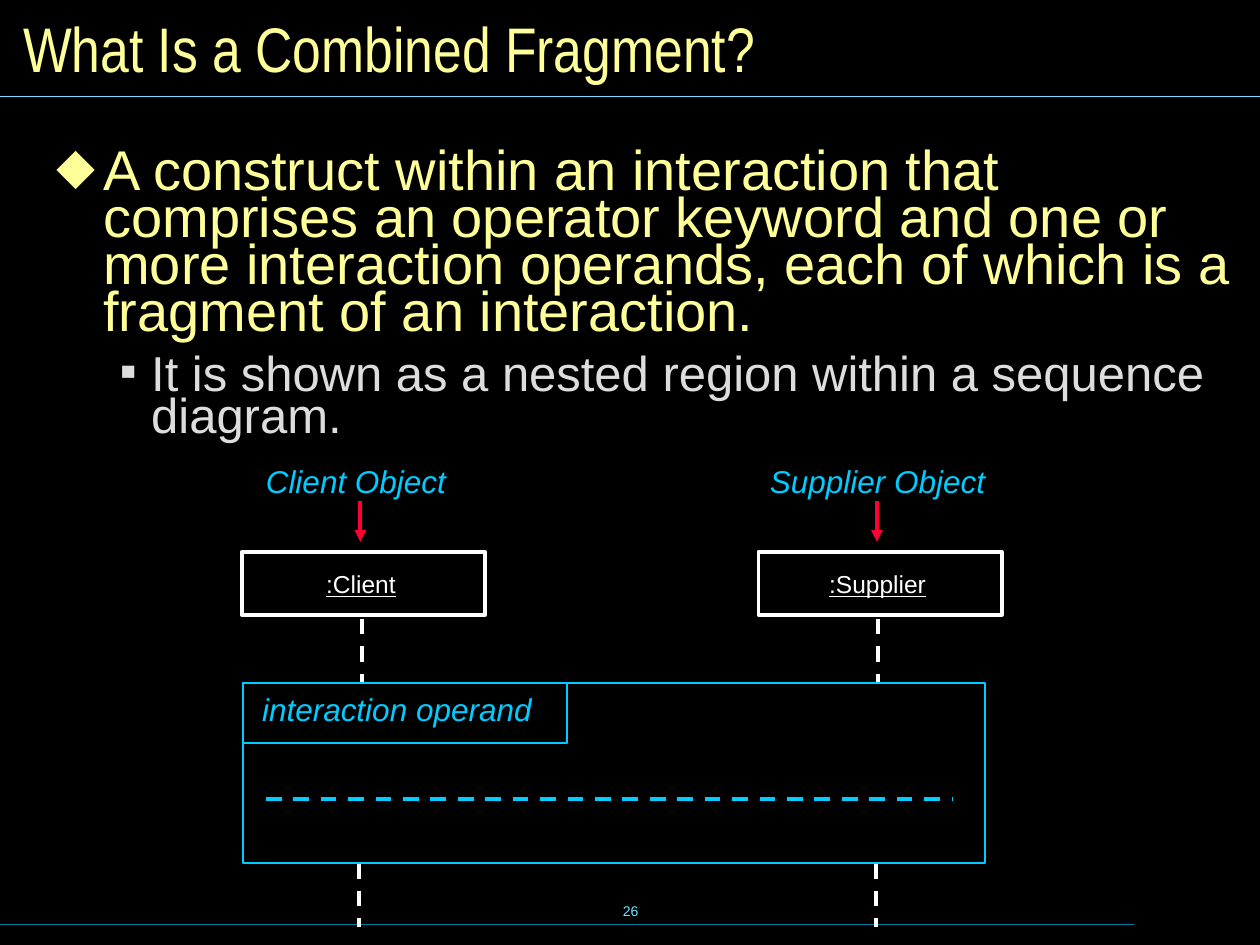
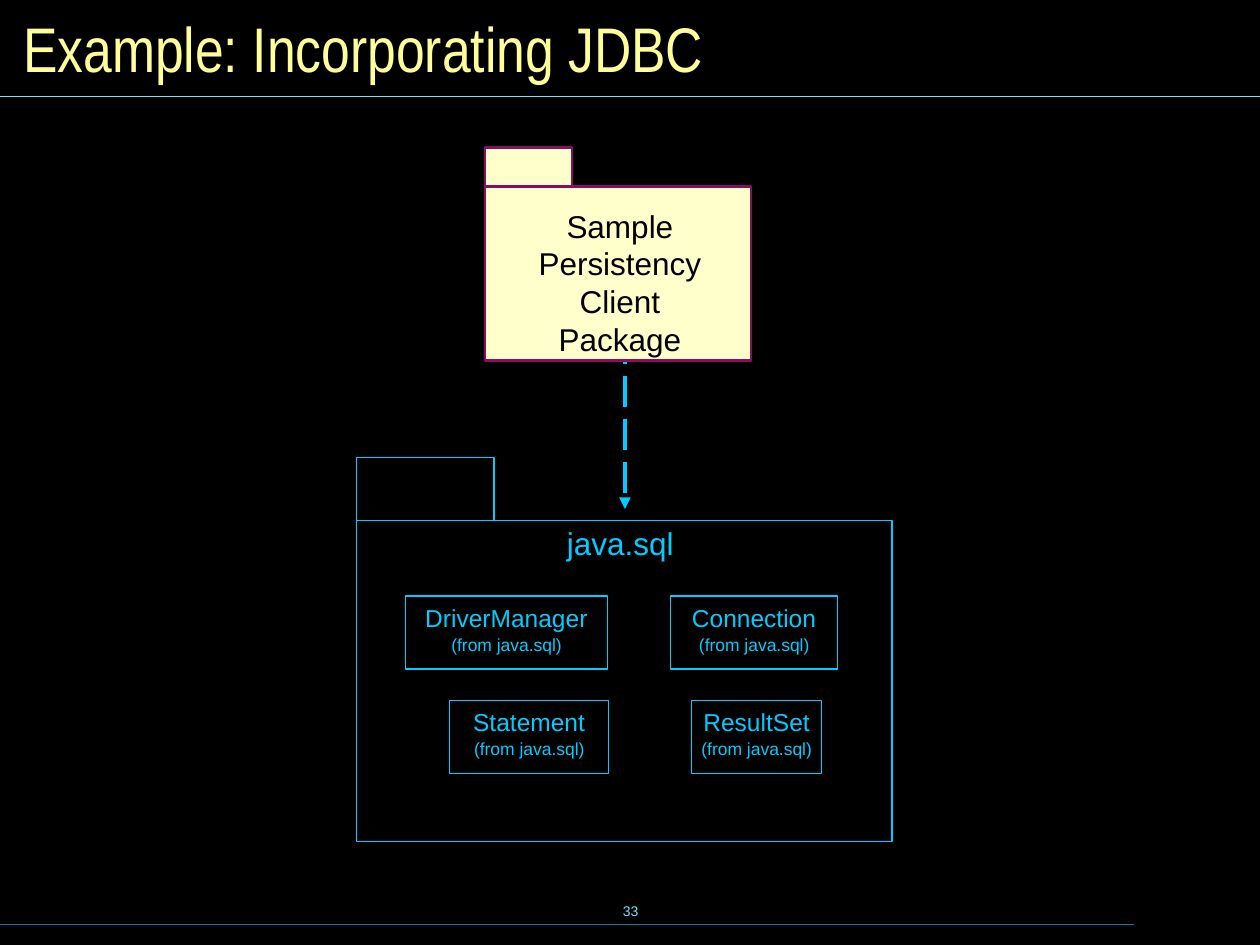
from dataclasses import dataclass

from lxml.etree import SubElement
from pptx import Presentation
from pptx.dml.color import RGBColor
from pptx.enum.dml import MSO_LINE as Dash
from pptx.enum.shapes import MSO_CONNECTOR as Connector, MSO_SHAPE as Shape
from pptx.enum.text import MSO_ANCHOR as Anchor, MSO_AUTO_SIZE as AutoSize, PP_ALIGN as Align
from pptx.oxml.ns import qn
from pptx.util import Inches, Pt

COLUMNS, ROWS = 100, 75
CELL = Inches(10) // COLUMNS


@dataclass(frozen=True)
class Theme:
    background: str = "000000"
    title: str = "FFFF99"
    detail: str = "DDDDDD"
    accent: str = "00CCFF"
    band: str = "73E1FF"
    footer: str = "007E9F"
    outline: str = "FFFFFF"
    pointer: str = "FF0033"
    package_fill: str = "FFFFCC"
    package_edge: str = "8A0E5E"
    dark_text: str = "000000"
    font: str = "Arial"
    title_font: str = "Arial Narrow"
    title_size: int = 36
    point_size: int = 32
    detail_size: int = 28
    label_size: int = 18
    name_size: int = 14
    caption_size: int = 10
    number_size: int = 8
    thin: float = 0.75
    thick: float = 2.25


THEME = Theme()


@dataclass(frozen=True)
class Box:
    left: float
    top: float
    width: float
    height: float

    def inside(self, left, top, width, height):
        return Box(self.left + left, self.top + top, width, height)

    def emu(self):
        return [round(side * CELL) for side in (self.left, self.top, self.width, self.height)]


PAGE = Box(0, 0, COLUMNS, ROWS)


def color(value):
    return RGBColor.from_string(value)


def style(para, size, ink, font=THEME.font, align=Align.LEFT, italic=None, underline=None):
    para.alignment = align
    face = para.font
    face.name, face.size = font, Pt(size)
    face.italic, face.underline = italic, underline
    face.color.rgb = color(ink)


def set_margins(frame, across, down):
    frame.margin_left = frame.margin_right = Inches(across)
    frame.margin_top = frame.margin_bottom = Inches(down)


def place(shape, box):
    shape.left, shape.top, shape.width, shape.height = box.emu()


def label(page, box, text, size, ink, wrap=False, margins=(0, 0), **look):
    frame = page.shapes.add_textbox(*box.emu()).text_frame
    frame.word_wrap = wrap
    frame.auto_size = AutoSize.SHAPE_TO_FIT_TEXT
    set_margins(frame, *margins)
    frame.text = text
    style(frame.paragraphs[0], size, ink, **look)
    return frame


def rectangle(page, box, edge, weight, fill=None):
    shape = page.shapes.add_shape(Shape.RECTANGLE, *box.emu())
    shape.shadow.inherit = False
    if fill:
        shape.fill.solid()
        shape.fill.fore_color.rgb = color(fill)
    else:
        shape.fill.background()
    shape.line.color.rgb = color(edge)
    shape.line.width = Pt(weight)


def rule(page, box, ink, weight=THEME.thick, dash=None, arrow=False):
    left, top, width, height = box.emu()
    connector = page.shapes.add_connector(
        Connector.STRAIGHT, left, top, left + width, top + height)
    line = connector.line
    line.color.rgb = color(ink)
    line.width = Pt(weight)
    if dash:
        line.dash_style = dash
    properties = connector._element.spPr
    if arrow:
        SubElement(properties.find(qn("a:ln")), qn("a:tailEnd"), type="triangle")
    SubElement(properties, qn("a:effectLst"))


def start_page(deck, layout, title, number):
    page = deck.slides.add_slide(deck.slide_layouts.get_by_name(layout))
    rule(page, PAGE.inside(0, 73.35, 90, 0), THEME.footer, THEME.thin)
    rule(page, PAGE.inside(0, 7.65, COLUMNS, 0), THEME.band, THEME.thin)
    footer = label(page, PAGE.inside(34.2, 69.8, 31.7, 5), number, THEME.number_size,
                   THEME.band, margins=(0.1, 0.05), align=Align.CENTER)
    footer.auto_size = AutoSize.NONE
    footer.vertical_anchor = Anchor.MIDDLE

    heading = page.shapes.title
    place(heading, PAGE.inside(0.83, 0.83, 98.4, 5.8))
    frame = heading.text_frame
    frame.text = title
    frame.auto_size = AutoSize.NONE
    frame.vertical_anchor = Anchor.MIDDLE
    set_margins(frame, 0.1, 0.05)
    style(frame.paragraphs[0], THEME.title_size, THEME.title, THEME.title_font)
    return page


def add_bullet(para, mark, ink, indent, hang):
    properties = para._p.get_or_add_pPr()
    properties.set("marL", str(Inches(indent)))
    properties.set("indent", str(-Inches(hang)))
    SubElement(SubElement(properties, qn("a:buClr")), qn("a:srgbClr"), val=ink)
    SubElement(properties, qn("a:buChar"), char=mark)


def definition(page, box, point, detail):
    body = page.placeholders[1]
    place(body, box)
    frame = body.text_frame
    frame.auto_size = AutoSize.NONE
    frame.vertical_anchor = Anchor.TOP
    set_margins(frame, 0.12, 0.06)
    levels = (
        (point, "⬥", THEME.title, THEME.point_size, 0.37, 0.37, 0),
        (detail, "▪", THEME.detail, THEME.detail_size, 0.75, 0.25, 10.5),
    )
    for level, (text, mark, ink, size, indent, hang, before) in enumerate(levels):
        para = frame.add_paragraph() if level else frame.paragraphs[0]
        para.text = text
        para.level = level
        add_bullet(para, mark, ink, indent, hang)
        para.line_spacing = 0.7
        para.space_before = Pt(before)
        style(para, size, ink)


def participant(page, box, role, role_box, name, name_width):
    label(page, box.inside(*role_box), role, THEME.label_size, THEME.accent, italic=True)
    rule(page, box.inside(9.4, 3.1, 0, 3.2), THEME.pointer, arrow=True)
    rectangle(page, box.inside(0, 7.1, box.width, 5), THEME.outline, THEME.thick)
    name_left = (box.width - name_width) / 2 - 0.2
    label(page, box.inside(name_left, 8.5, name_width, 2.3), name, THEME.name_size,
          THEME.outline, align=Align.CENTER, underline=True)
    for left, top in ((9.5, 12.4), (9.3, 31.8)):
        rule(page, box.inside(left, top, 0, 5.1), THEME.outline, dash=Dash.DASH)


def combined_fragment(page, box):
    rectangle(page, box, THEME.accent, 1)
    rectangle(page, box.inside(0, 0, 25.7, 4.8), THEME.accent, 1)
    label(page, box.inside(1.5, 0.6, 22, 3), "interaction operand",
          THEME.label_size, THEME.accent, italic=True)
    rule(page, box.inside(1.8, 9.2, 54.5, 0), THEME.accent, dash=Dash.DASH)


def sequence_diagram(page, box):
    participant(page, box.inside(0, 0, 19.3, box.height),
                "Client Object", (1.9, 0, 15, 3), ":Client", 6)
    participant(page, box.inside(41, 0, 19.3, box.height),
                "Supplier Object", (0.9, 0, 17.7, 3), ":Supplier", 8.2)
    combined_fragment(page, box.inside(0.1, 17.5, 58.9, 14.3))


def package(page, box, tab_width, tab_height, edge, body_weight, tab_weight, fill=None):
    body = box.inside(0, tab_height, box.width, box.height - tab_height)
    rectangle(page, body, edge, body_weight, fill)
    rectangle(page, box.inside(0, 0, tab_width, tab_height), edge, tab_weight, fill)


def class_box(page, box, name, name_width):
    rectangle(page, box, THEME.accent, 0)
    lines = (
        (name, name_width, 0.55, 2.3, THEME.name_size),
        ("(from java.sql)", 9.2, 3, 1.7, THEME.caption_size),
    )
    for text, width, top, height, size in lines:
        label(page, box.inside((box.width - width) / 2, top, width, height),
              text, size, THEME.accent, align=Align.CENTER)


def library_package(page, box):
    package(page, box, 10.9, 5, THEME.accent, 0, THEME.thin)
    label(page, box.inside(16.7, 5.3, 9, 3), "java.sql", THEME.label_size, THEME.accent)
    rows = (
        (("DriverManager", 3.9, 16, 13.4), ("Connection", 24.9, 13.3, 10.4)),
        (("Statement", 7.4, 12.6, 9.4), ("ResultSet", 26.6, 10.3, 9)),
    )
    for row, classes in enumerate(rows):
        for name, left, width, name_width in classes:
            class_box(page, box.inside(left, 11 + row * 8.3, width, 5.8), name, name_width)


def client_package(page, box):
    package(page, box, 6.9, 3.1, THEME.package_edge, 1.5, 1.5, THEME.package_fill)
    label(page, box.inside(1.1, 4.1, 19.2, 13.2), "Sample Persistency Client Package",
          THEME.label_size, THEME.dark_text, wrap=True, margins=(0.12, 0.06),
          align=Align.CENTER)


def fragment_page(deck):
    page = start_page(deck, "Title and Content", "What Is a Combined Fragment?", "26")
    definition(
        page, PAGE.inside(3.3, 11.5, 95.9, 26.8),
        "A construct within an interaction that comprises an operator keyword and one or "
        "more interaction operands, each of which is a fragment of an interaction.",
        "It is shown as a nested region within a sequence diagram.")
    sequence_diagram(page, PAGE.inside(19.2, 36.7, 60.3, 37))


def database_page(deck):
    page = start_page(deck, "Title Only", "Example: Incorporating JDBC", "33")
    library_package(page, PAGE.inside(28.3, 36.3, 42.5, 30.5))
    rule(page, PAGE.inside(49.6, 26.4, 0, 14), THEME.accent, dash=Dash.LONG_DASH, arrow=True)
    client_package(page, PAGE.inside(38.5, 11.7, 21.1, 16.9))


def main():
    deck = Presentation()
    deck.slide_width, deck.slide_height = COLUMNS * CELL, ROWS * CELL
    backdrop = deck.slide_master.background.fill
    backdrop.solid()
    backdrop.fore_color.rgb = color(THEME.background)
    fragment_page(deck)
    database_page(deck)
    deck.save("out.pptx")


if __name__ == "__main__":
    main()
